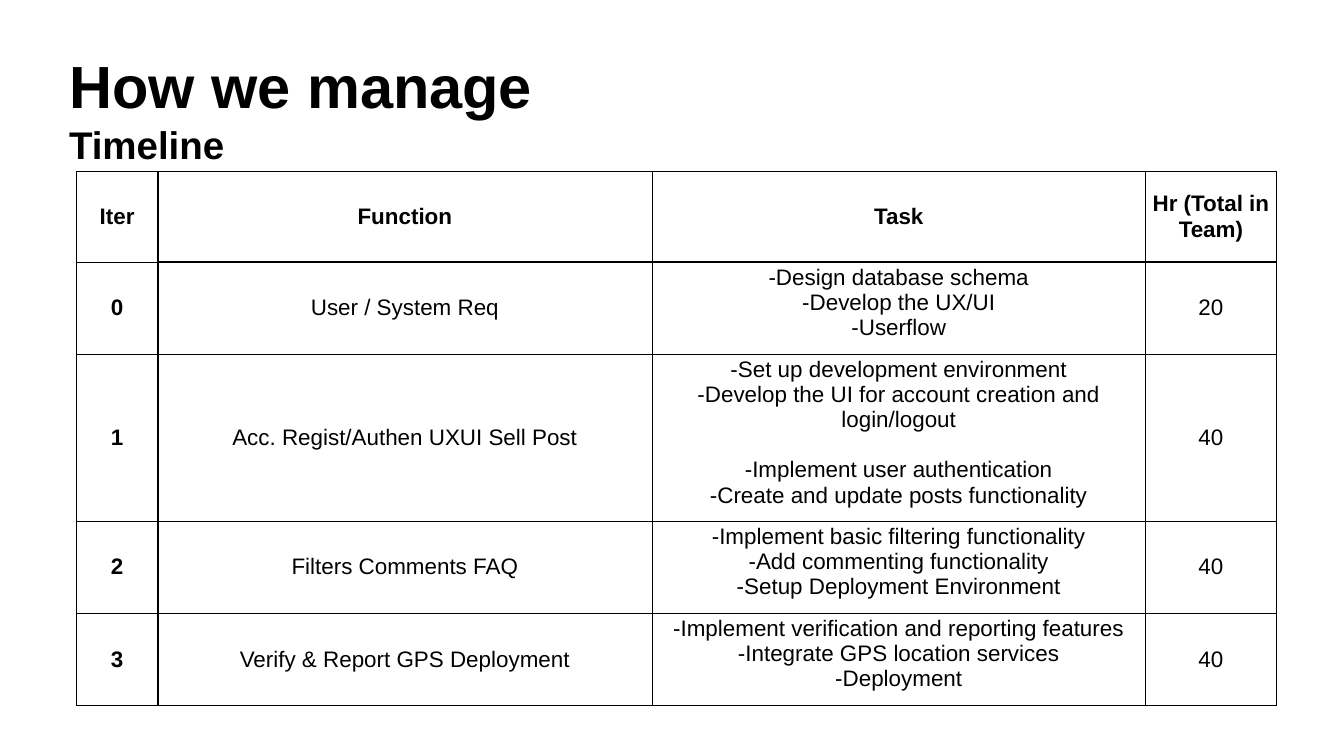
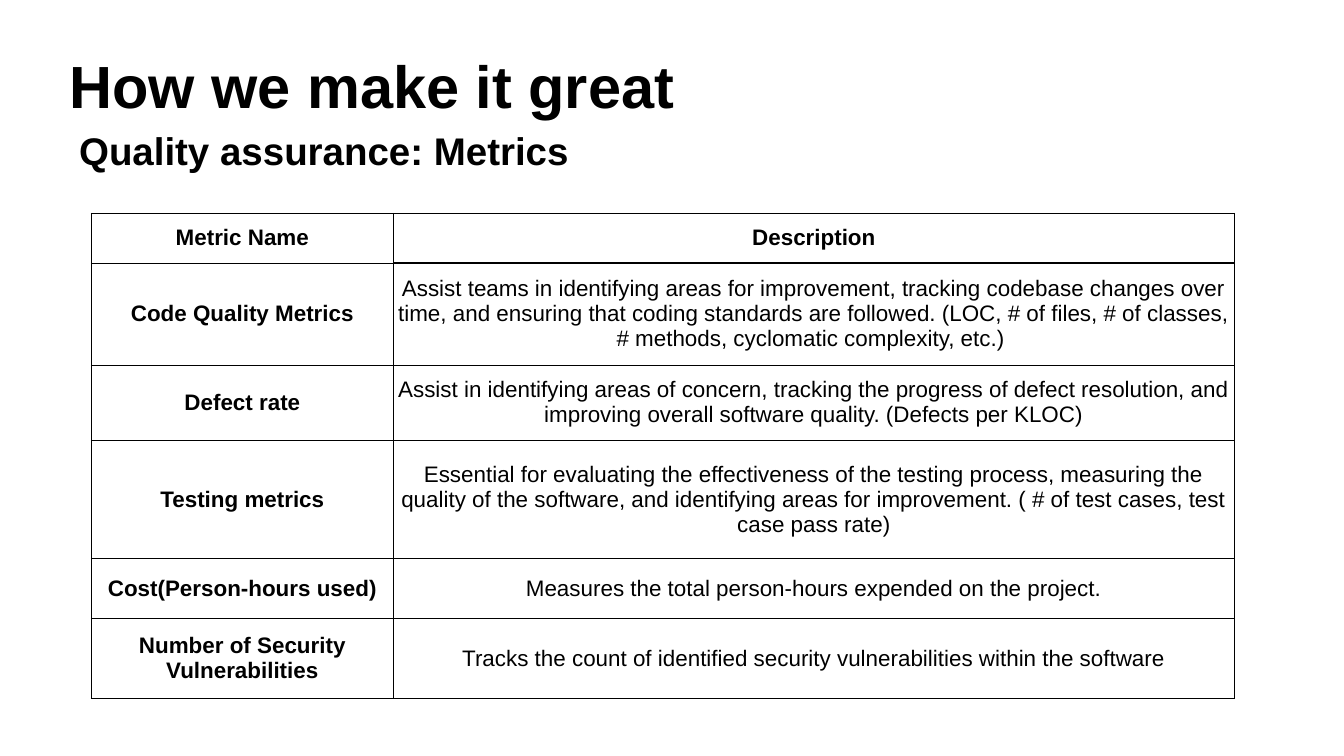
from lxml.etree import SubElement
from pptx import Presentation
from pptx.dml.color import RGBColor
from pptx.enum.text import MSO_ANCHOR, PP_ALIGN
from pptx.oxml.ns import qn
from pptx.util import Inches, Pt

FONT = "Arial"
INK = "000000"
THIN, THICK = 1, 3
CELL_INSET = 0.06
TABLE_SIZE = 32
TITLE_BOX = (1.32, 1.18, 24.03, 1.57)
SUBTITLE_WIDTH, SUBTITLE_HEIGHT = 24.03, 1.02

TIMELINE_COLUMNS = [1.61, 9.81, 9.79, 2.6]
TIMELINE_HEIGHTS = [1.8, 1.83, 3.31, 1.83, 1.83]
TASK_COLUMN = 2
TIMELINE = [
    ["Iter", "Function", "Task", "Hr (Total in Team)"],
    ["0", "User / System Req",
     "-Design database schema\n-Develop the UX/UI\n-Userflow", "20"],
    ["1", "Acc. Regist/Authen UXUI Sell Post",
     "-Set up development environment\n"
     "-Develop the UI for account creation and login/logout\n"
     "-Implement user authentication\n"
     "-Create and update posts functionality", "40"],
    ["2", "Filters Comments FAQ",
     "-Implement basic filtering functionality\n"
     "-Add commenting functionality\n"
     "-Setup Deployment Environment", "40"],
    ["3", "Verify & Report GPS Deployment",
     "-Implement verification and reporting features\n"
     "-Integrate GPS location services\n-Deployment", "40"],
]

METRIC_COLUMNS = [6, 16.68]
METRIC_HEIGHTS = [0.99, 2.02, 1.5, 2.34, 1.19, 1.59]
METRICS = [
    ["Metric Name", "Description"],
    ["Code Quality Metrics",
     "Assist teams in identifying areas for improvement, tracking codebase "
     "changes over time, and ensuring that coding standards are followed. "
     "(LOC, # of files, # of classes, # methods, cyclomatic complexity, etc.) "],
    ["Defect rate",
     "Assist in identifying areas of concern, tracking the progress of defect "
     "resolution, and improving overall software quality. (Defects per KLOC)"],
    ["Testing metrics",
     "Essential for evaluating the effectiveness of the testing process, "
     "measuring the quality of the software, and identifying areas for "
     "improvement. ( # of test cases, test case pass rate)"],
    ["Cost(Person-hours used)",
     "Measures the total person-hours expended on the project."],
    ["Number of Security Vulnerabilities",
     "Tracks the count of identified security vulnerabilities within the software"],
]


def color(hex_value):
    return RGBColor.from_string(hex_value)


def style(paragraph, size, bold):
    font = paragraph.font
    font.name, font.size, font.bold = FONT, Pt(size), bold
    font.color.rgb = color(INK)


def add_heading(slide, box, text, size, inset, anchor):
    heading = slide.shapes.add_textbox(*map(Inches, box)).text_frame
    heading.word_wrap = True
    heading.vertical_anchor = anchor
    heading.margin_left = heading.margin_right = Inches(inset)
    heading.margin_top = heading.margin_bottom = Inches(inset)
    heading.text = text
    style(heading.paragraphs[0], size, True)
    return heading


def add_headings(slide, title, subtitle, left, top):
    title_frame = add_heading(slide, TITLE_BOX, title, 85, 0.06, MSO_ANCHOR.TOP)
    title_frame.paragraphs[0].line_spacing = 0.8
    subtitle_box = (left, top, SUBTITLE_WIDTH, SUBTITLE_HEIGHT)
    add_heading(slide, subtitle_box, subtitle, 55, 0.05, MSO_ANCHOR.BOTTOM)


def set_borders(cell, **widths):
    properties = cell._tc.get_or_add_tcPr()
    for position, side in enumerate("LRTB"):
        width = widths.get(side, THIN)
        line = SubElement(properties, qn(f"a:ln{side}"), w=str(Pt(width)))
        fill = SubElement(line, qn("a:solidFill"))
        SubElement(fill, qn("a:srgbClr"), val=INK)
        properties.remove(line)
        properties.insert(position, line)


def fill_cell(cell, text, bold):
    cell.fill.background()
    cell.vertical_anchor = MSO_ANCHOR.MIDDLE
    cell.margin_left = cell.margin_right = Inches(CELL_INSET)
    cell.margin_top = cell.margin_bottom = Inches(CELL_INSET)
    cell.text = text
    for paragraph in cell.text_frame.paragraphs:
        paragraph.alignment = PP_ALIGN.CENTER
        style(paragraph, TABLE_SIZE, bold)


def add_grid(slide, left, top, columns, heights, rows, stub_rule):
    frame = slide.shapes.add_table(
        len(rows), len(columns), Inches(left), Inches(top),
        Inches(sum(columns)), Inches(sum(heights)))
    grid = frame.table
    grid.first_row = grid.horz_banding = False
    for column, width in zip(grid.columns, columns):
        column.width = Inches(width)
    for r, (height, texts) in enumerate(zip(heights, rows)):
        grid.rows[r].height = Inches(height)
        for c, text in enumerate(texts):
            cell = grid.cell(r, c)
            fill_cell(cell, text, r == 0 or c == 0)
            set_borders(
                cell,
                L=stub_rule if c == 1 else THIN,
                R=stub_rule if c == 0 else THIN,
                T=THICK if r == 1 and c else THIN,
                B=THICK if r == 0 and c else THIN)
    return grid


def build_timeline(slide):
    add_headings(slide, "How we manage", "Timeline", 1.32, 2.35)
    schedule = add_grid(slide, 1.52, 3.4, TIMELINE_COLUMNS, TIMELINE_HEIGHTS,
                        TIMELINE, THICK)
    for r in range(1, len(TIMELINE)):
        schedule.cell(r, TASK_COLUMN).vertical_anchor = MSO_ANCHOR.TOP
    authentication = schedule.cell(2, TASK_COLUMN).text_frame.paragraphs[2]
    authentication.space_before = Pt(35.7)


def build_metrics(slide):
    add_headings(slide, "How we make it great", "Quality assurance: Metrics",
                 1.52, 2.47)
    add_grid(slide, 1.81, 4.23, METRIC_COLUMNS, METRIC_HEIGHTS, METRICS, THIN)


def main():
    deck = Presentation()
    deck.slide_width, deck.slide_height = Inches(26.67), Inches(15)
    for build in (build_timeline, build_metrics):
        build(deck.slides.add_slide(deck.slide_layouts[6]))
    deck.save("out.pptx")


if __name__ == "__main__":
    main()
